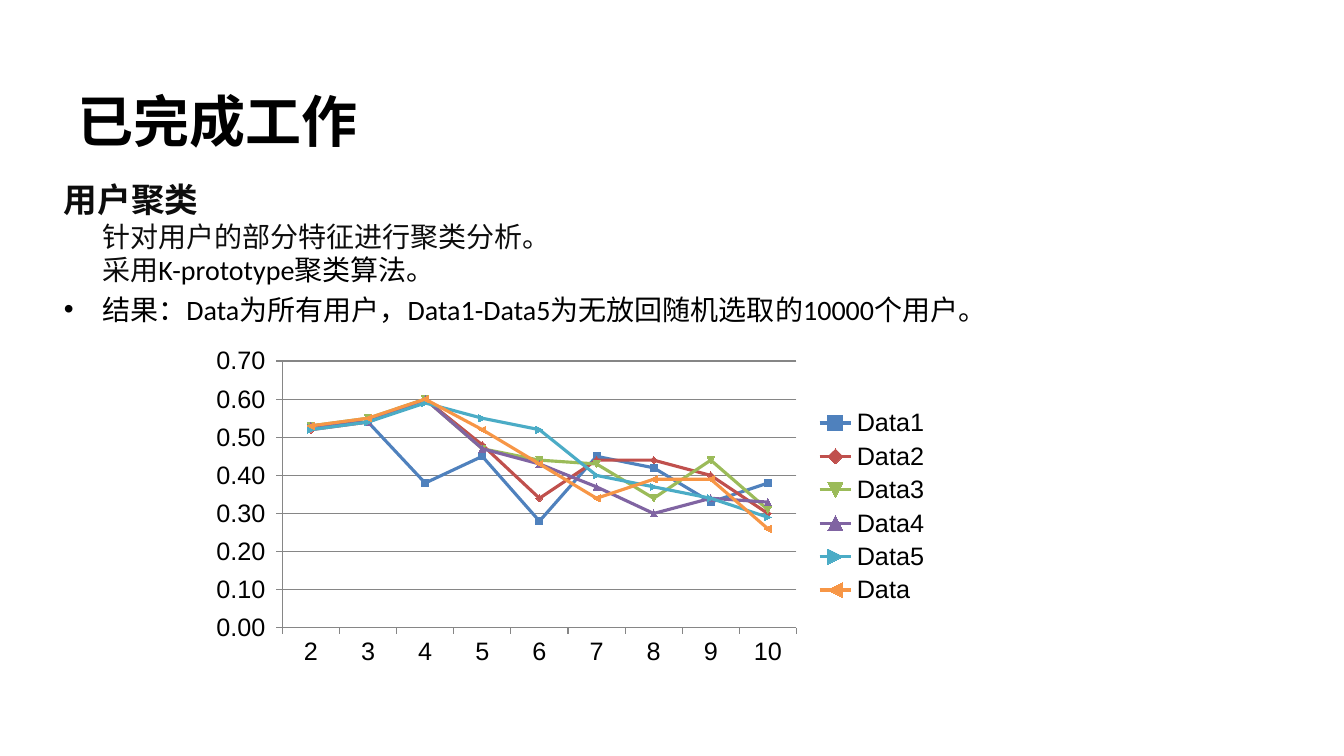
from pptx import Presentation
from pptx import util as u
from pptx.chart import data as chart_data
from pptx.dml import color
from pptx.enum import chart as ch, text
from pptx.oxml import ns
from lxml import etree

WIDTH, HEIGHT = 13.33, 7.5


def rgb(hex_string):
    return color.RGBColor.from_string(hex_string)


def apply(target, values):
    for name, value in values.items():
        setattr(target, name, value)


class ClusteringSlide:
    HEADING = dict(name="Calibri", size=u.Pt(24), bold=True)
    BODY = dict(name="Calibri", size=u.Pt(20), bold=False)
    TITLE = dict(name="Noto Sans CJK SC", size=u.Pt(40), bold=True)
    CHART = dict(name="Arial", size=u.Pt(18), bold=False)
    AXIS = "868686"
    INDENT = u.Inches(0.38)

    def __init__(self, deck):
        self.slide = deck.slides.add_slide(deck.slide_layouts[1])

    def box(self, left, top, width, height):
        """Turn shares of the slide's size into lengths."""
        return dict(left=u.Inches(left * WIDTH), top=u.Inches(top * HEIGHT),
                    width=u.Inches(width * WIDTH), height=u.Inches(height * HEIGHT))

    def place(self, holder, shares, anchor):
        apply(holder, self.box(*shares))
        apply(holder.text_frame, dict(word_wrap=True, vertical_anchor=anchor,
                                      auto_size=text.MSO_AUTO_SIZE.NONE))
        return holder.text_frame

    def run(self, paragraph, words, style, hex_color):
        run = paragraph.add_run()
        run.text = words
        apply(run.font, style)
        run.font.color.rgb = rgb(hex_color)

    def title(self, words, shares):
        frame = self.place(self.slide.shapes.title, shares, text.MSO_ANCHOR.BOTTOM)
        heading = frame.paragraphs[0]
        heading.alignment = text.PP_ALIGN.LEFT
        self.run(heading, words, self.TITLE, "000000")

    def body(self, lines, shares):
        frame = self.place(self.slide.placeholders[1], shares, text.MSO_ANCHOR.TOP)
        for number, (kind, runs) in enumerate(lines):
            line = frame.add_paragraph() if number else frame.paragraphs[0]
            bulleted = kind == "bullet"
            line.space_before = u.Pt(4 if bulleted else 0)
            props = line._p.get_or_add_pPr()
            props.set("marL", str(0 if kind == "heading" else self.INDENT))
            props.set("indent", str(-self.INDENT if bulleted else 0))
            if bulleted:
                etree.SubElement(props, ns.qn("a:buChar"), char="•")
            else:
                etree.SubElement(props, ns.qn("a:buNone"))
            style = self.HEADING if kind == "heading" else self.BODY
            for words, hex_color in runs:
                self.run(line, words, style, hex_color)

    def line_chart(self, clusters, scores, shares):
        data = chart_data.CategoryChartData(number_format="0.00")
        data.categories = clusters
        for name, (_, values) in scores.items():
            data.add_series(name, values)
        place = self.box(*shares)
        chart = self.slide.shapes.add_chart(
            ch.XL_CHART_TYPE.LINE_MARKERS, place["left"], place["top"],
            place["width"], place["height"], data).chart
        apply(chart, dict(has_title=False, has_legend=True))
        apply(chart.legend, dict(position=ch.XL_LEGEND_POSITION.RIGHT,
                                 include_in_layout=False))
        apply(chart.font, self.CHART)
        chart.font.color.rgb = rgb("000000")

        # Axes and gridlines
        score_axis = chart.value_axis
        apply(score_axis, dict(minimum_scale=0, maximum_scale=0.7, major_unit=0.1,
                               has_major_gridlines=True))
        apply(score_axis.tick_labels, dict(
            number_format=r"#,##0.00_);[Red]\(#,##0.00\)",
            number_format_is_linked=False))
        for axis in (chart.category_axis, score_axis):
            axis.major_tick_mark = ch.XL_TICK_MARK.OUTSIDE
        for part in (chart.category_axis, score_axis, score_axis.major_gridlines):
            part.format.line.color.rgb = rgb(self.AXIS)
            part.format.line.width = u.Pt(0.75)

        # Series colours
        plot = chart.plots[0]
        plot.vary_by_categories = False
        for series, (hex_color, _) in zip(plot.series, scores.values()):
            series.smooth = False
            series.format.line.color.rgb = rgb(hex_color)
            series.format.line.width = u.Pt(2.25)
            series.marker.size = 5
            series.marker.format.fill.solid()
            series.marker.format.fill.fore_color.rgb = rgb(hex_color)
            series.marker.format.line.color.rgb = rgb(hex_color)


LINES = [
    ("heading", [("用户聚类", "0D0D0D")]),
    ("plain", [("针对用户的部分特征进行聚类分析。", "0D0D0D")]),
    ("plain", [("采用", "0D0D0D"), ("K-prototype聚类算法。", "000000")]),
    ("bullet", [("结果：Data为所有用户，Data1-Data5为无放回随机选取的10000个用户。",
                 "000000")]),
]
SCORES = {
    "Data1": ("4F81BD", [0.53, 0.54, 0.38, 0.45, 0.28, 0.45, 0.42, 0.33, 0.38]),
    "Data2": ("C0504D", [0.52, 0.54, 0.6, 0.48, 0.34, 0.44, 0.44, 0.4, 0.3]),
    "Data3": ("9BBB59", [0.53, 0.55, 0.6, 0.47, 0.44, 0.43, 0.34, 0.44, 0.31]),
    "Data4": ("8064A2", [0.53, 0.54, 0.6, 0.47, 0.43, 0.37, 0.3, 0.34, 0.33]),
    "Data5": ("4BACC6", [0.52, 0.54, 0.59, 0.55, 0.52, 0.4, 0.37, 0.34, 0.29]),
    "Data": ("F79646", [0.53, 0.55, 0.6, 0.52, 0.43, 0.34, 0.39, 0.39, 0.26]),
}


def main():
    deck = Presentation()
    apply(deck, dict(slide_width=u.Inches(WIDTH), slide_height=u.Inches(HEIGHT)))
    page = ClusteringSlide(deck)
    page.title("已完成工作", (0.05, 0.09, 0.83, 0.12))
    page.body(LINES, (0.04, 0.23, 0.9, 0.7))
    page.line_chart([str(count) for count in range(2, 11)], SCORES,
                    (0.15, 0.45, 0.55, 0.44))
    deck.save("out.pptx")


if __name__ == "__main__":
    main()
